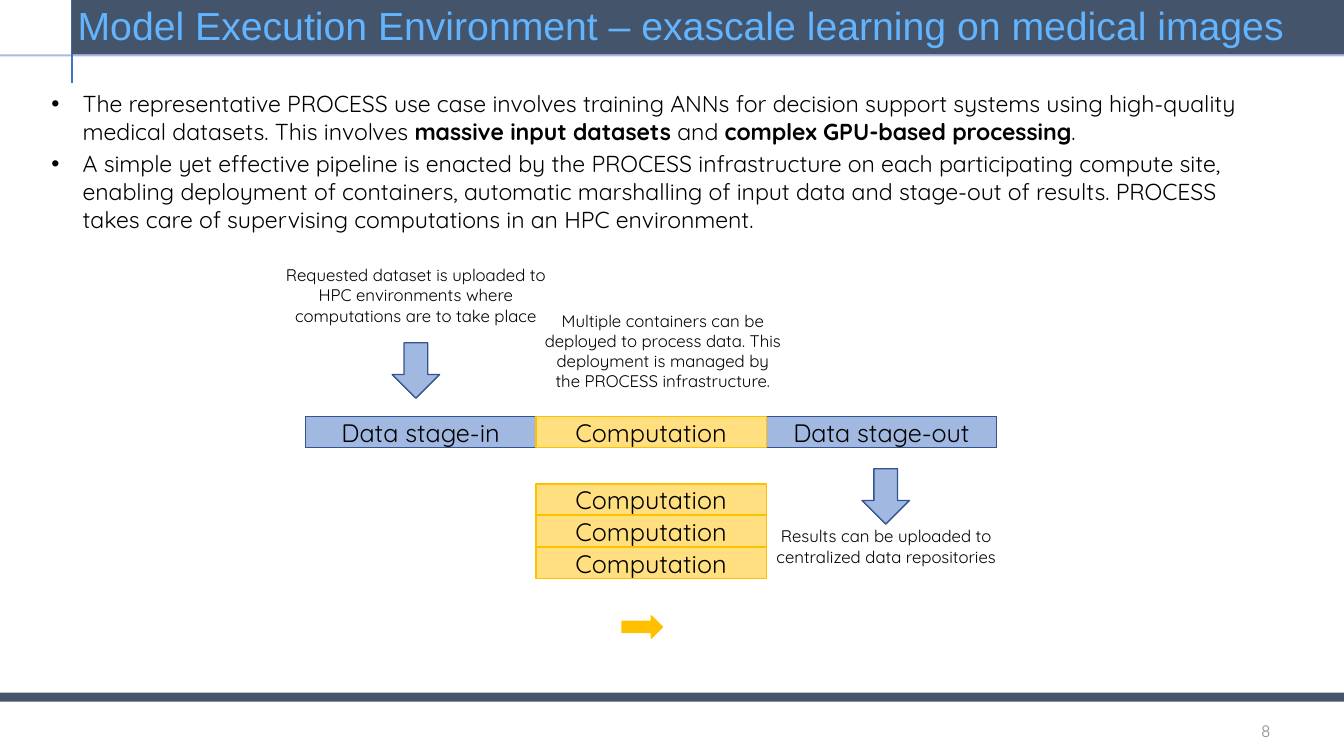
from dataclasses import dataclass

from pptx import Presentation
from pptx.dml.color import RGBColor
from pptx.enum.shapes import MSO_CONNECTOR, MSO_SHAPE
from pptx.enum.text import MSO_ANCHOR, MSO_AUTO_SIZE, PP_ALIGN
from pptx.oxml.ns import qn
from pptx.util import Inches, Pt
from lxml import etree

RECTANGLE = MSO_SHAPE.RECTANGLE
DOWN_ARROW = MSO_SHAPE.DOWN_ARROW
RIGHT_ARROW = MSO_SHAPE.RIGHT_ARROW
STRAIGHT = MSO_CONNECTOR.STRAIGHT
LEFT, CENTER, RIGHT = PP_ALIGN.LEFT, PP_ALIGN.CENTER, PP_ALIGN.RIGHT
TOP, MIDDLE = MSO_ANCHOR.TOP, MSO_ANCHOR.MIDDLE
NO_AUTOFIT = MSO_AUTO_SIZE.NONE

COLORS = {
    "slate": "44546A",
    "blue": "4472C4",
    "dark_blue": "325491",
    "gold": "FFC000",
    "title": "62B4FF",
    "text": "000000",
    "number": "8C8C8C",
}
SLIDE_WIDTH, SLIDE_HEIGHT = 13.33, 7.5
BODY_FONT, TITLE_FONT = "Quicksand", "Arial"
BOLD_MARK = "**"

STAGE_LEFT, STAGE_TOP = 3.03, 4.13
STAGE_WIDTH, STAGE_HEIGHT = 2.285, 0.31
EXTRA_TOP, EXTRA_PITCH, EXTRA_COUNT = 4.8, 0.315, 3
ARROW_WIDTH, ARROW_HEIGHT = 0.47, 0.55

TITLE = "Model Execution Environment – exascale learning on medical images"
BULLETS = [
    "The representative PROCESS use case involves training ANNs for decision support "
    "systems using high-quality medical datasets. This involves **massive input "
    "datasets** and **complex GPU-based processing**.",
    "A simple yet effective pipeline is enacted by the PROCESS infrastructure on each "
    "participating compute site, enabling deployment of containers, automatic "
    "marshalling of input data and stage-out of results. PROCESS takes care of "
    "supervising computations in an HPC environment.",
]


@dataclass(frozen=True)
class Box:
    left: float
    top: float
    width: float
    height: float

    def lengths(self) -> list:
        return [Inches(n) for n in (self.left, self.top, self.width, self.height)]


@dataclass(frozen=True)
class Stage:
    label: str
    column: int
    top: float
    fill: str
    line: str


@dataclass(frozen=True)
class Note:
    text: str
    box: Box


STAGES = [
    Stage("Data stage-in", 0, STAGE_TOP, "blue", "dark_blue"),
    Stage("Data stage-out", 2, STAGE_TOP, "blue", "dark_blue"),
    Stage("Computation", 1, STAGE_TOP, "gold", "gold"),
] + [
    Stage("Computation", 1, EXTRA_TOP + row * EXTRA_PITCH, "gold", "gold")
    for row in range(EXTRA_COUNT)
]
NOTES = [
    Note("Requested dataset is uploaded to HPC environments where computations "
         "are to take place", Box(2.72, 2.58, 2.81, 1.16)),
    Note("Results can be uploaded to centralized data repositories",
         Box(7.53, 5.17, 2.52, 1.16)),
    Note("Multiple containers can be deployed to process data. This deployment is "
         "managed by the PROCESS infrastructure.", Box(5.28, 3.03, 2.59, 1.16)),
]
STAGE_ARROWS = [Box(3.89, 3.4, ARROW_WIDTH, ARROW_HEIGHT),
                Box(8.55, 4.65, ARROW_WIDTH, ARROW_HEIGHT)]


def rgb(name: str) -> RGBColor:
    return RGBColor.from_string(COLORS[name])


def set_opacity(shape, percent: int) -> None:
    color = shape.element.spPr.find(".//" + qn("a:srgbClr"))
    etree.SubElement(color, qn("a:alpha")).set("val", str(percent * 1000))


def add_bullet(paragraph, indent: float) -> None:
    properties = paragraph._p.get_or_add_pPr()
    properties.set("marL", str(Inches(indent)))
    properties.set("indent", str(-Inches(indent)))
    etree.SubElement(properties, qn("a:buFont")).set("typeface", "Arial")
    etree.SubElement(properties, qn("a:buChar")).set("char", "•")


def write_text(shape, *texts: str, size: float, font: str = BODY_FONT,
               color: str = "text", align=CENTER, anchor=TOP, bullet_indent: float = 0,
               gap: float = 0, line_spacing: float = 1, inset: bool = True) -> None:
    frame = shape.text_frame
    frame.word_wrap = True
    frame.auto_size = NO_AUTOFIT
    frame.vertical_anchor = anchor
    frame.margin_left = frame.margin_right = Inches(0.1 if inset else 0)
    frame.margin_top = frame.margin_bottom = Inches(0.05 if inset else 0)
    for index, text in enumerate(texts):
        paragraph = frame.add_paragraph() if index else frame.paragraphs[0]
        if bullet_indent:
            add_bullet(paragraph, bullet_indent)
        paragraph.alignment = align
        paragraph.line_spacing = line_spacing
        paragraph.space_before = Pt(gap if index else 0)
        for part, words in enumerate(text.split(BOLD_MARK)):
            run = paragraph.add_run()
            run.text = words
            run.font.name = font
            run.font.size = Pt(size)
            run.font.bold = part % 2 == 1
            run.font.color.rgb = rgb(color)


def add_figure(slide, preset, box: Box, fill: str, line: str = "", opacity: int = 100):
    shape = slide.shapes.add_shape(preset, *box.lengths())
    shape.shadow.inherit = False
    shape.fill.solid()
    shape.fill.fore_color.rgb = rgb(fill)
    if opacity < 100:
        set_opacity(shape, opacity)
    if line:
        shape.line.color.rgb = rgb(line)
        shape.line.width = Pt(1)
    else:
        shape.line.fill.background()
    return shape


def add_rule(slide, start: tuple[float, float], end: tuple[float, float],
             opacity: int = 100) -> None:
    points = [Inches(n) for n in start + end]
    connector = slide.shapes.add_connector(STRAIGHT, *points)
    connector.line.color.rgb = rgb("blue")
    connector.line.width = Pt(1.5)
    if opacity < 100:
        set_opacity(connector, opacity)
    etree.SubElement(connector.element.spPr, qn("a:effectLst"))


def place(shape, box: Box) -> None:
    shape.left, shape.top, shape.width, shape.height = box.lengths()


def draw_frame(slide) -> None:
    add_figure(slide, RECTANGLE, Box(0, 6.87, SLIDE_WIDTH, 0.09), "slate")
    number = slide.shapes.add_textbox(*Box(9.7, 7.05, 3, 0.4).lengths())
    write_text(number, "8", size=12, color="number", align=RIGHT, anchor=MIDDLE)
    add_rule(slide, (0.71, 0.82), (0.71, 0))
    add_rule(slide, (0, 0.55), (SLIDE_WIDTH, 0.55), opacity=47)
    add_figure(slide, RECTANGLE, Box(0.71, 0, 12.62, 0.54), "slate")


def draw_title_and_body(slide) -> None:
    title, body = slide.shapes.title, slide.placeholders[1]
    for placeholder in (title, body):
        placeholder.element.getparent().append(placeholder.element)
    place(title, Box(0.77, 0.05, 12.18, 0.46))
    write_text(title, TITLE, size=28, font=TITLE_FONT, color="title", align=LEFT,
               line_spacing=0.95, inset=False)
    place(body, Box(0.41, 0.84, 11.95, 1.74))
    write_text(body, *BULLETS, size=16.5, align=LEFT, bullet_indent=0.31, gap=3.3)


def draw_pipeline(slide) -> None:
    for stage in STAGES:
        box = Box(STAGE_LEFT + stage.column * STAGE_WIDTH, stage.top,
                  STAGE_WIDTH, STAGE_HEIGHT)
        shape = add_figure(slide, RECTANGLE, box, stage.fill, stage.line, opacity=50)
        write_text(shape, stage.label, size=18, anchor=MIDDLE)
    for box in STAGE_ARROWS:
        add_figure(slide, DOWN_ARROW, box, "blue", "dark_blue", opacity=50)
    add_figure(slide, RIGHT_ARROW, Box(6.17, 6.11, 0.4, 0.22), "gold", "gold")
    for note in NOTES:
        write_text(slide.shapes.add_textbox(*note.box.lengths()), note.text, size=12)


def main() -> None:
    presentation = Presentation()
    presentation.slide_width = Inches(SLIDE_WIDTH)
    presentation.slide_height = Inches(SLIDE_HEIGHT)
    slide = presentation.slides.add_slide(presentation.slide_layouts[1])
    draw_frame(slide)
    draw_title_and_body(slide)
    draw_pipeline(slide)
    presentation.save("out.pptx")


if __name__ == "__main__":
    main()
